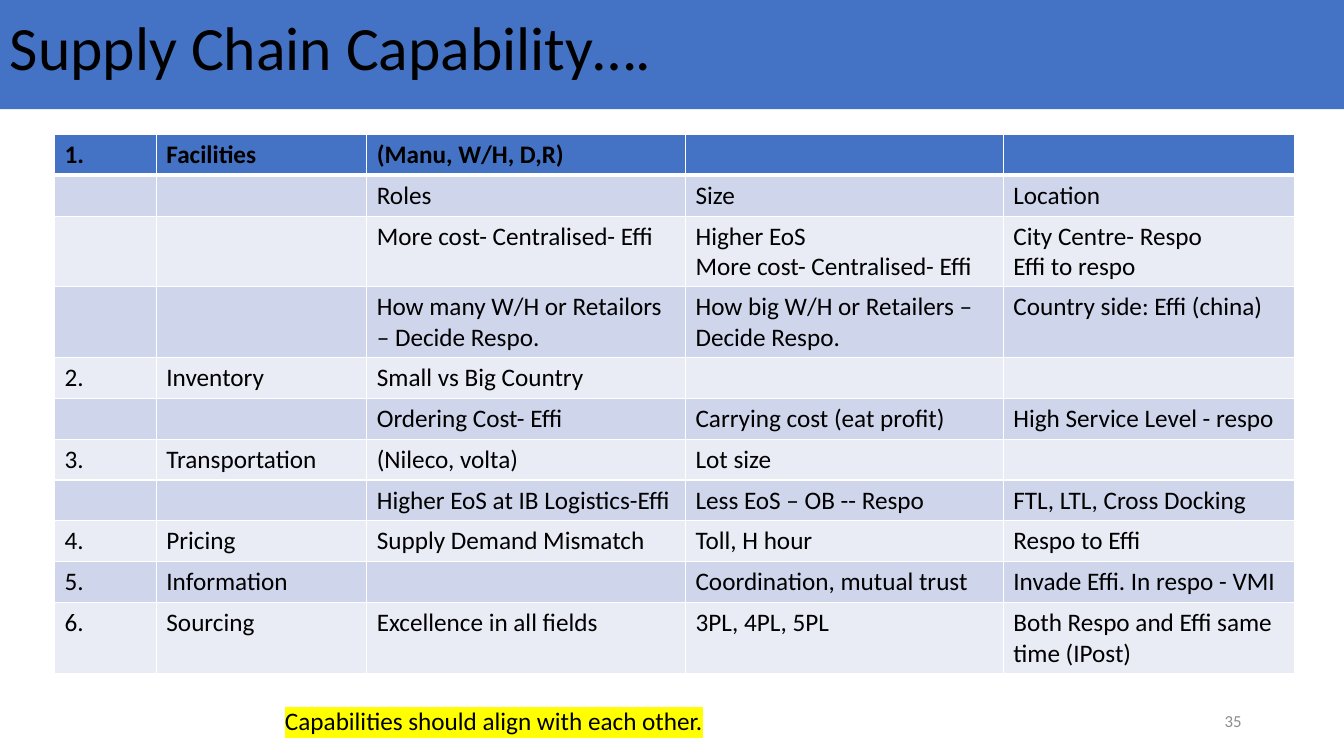
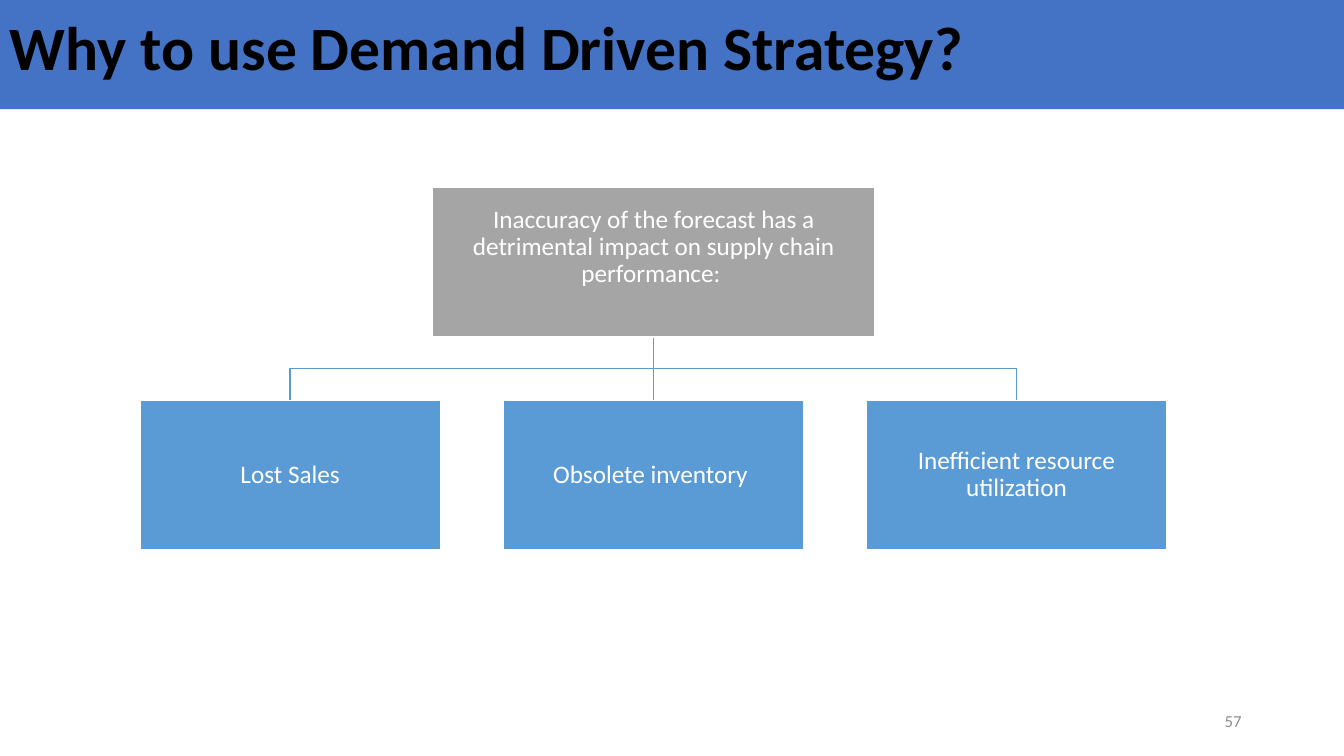
"""Build two supply chain slides: a capability table and a strategy tree."""
from dataclasses import dataclass
from typing import Optional

from lxml import etree
from pptx import Presentation
from pptx import util as u
from pptx.dml.color import RGBColor
from pptx.enum import shapes, text
from pptx.oxml import ns

FONT = "Calibri"
BLUE, SKY, GREY = "4472C4", "5B9BD5", "A5A5A5"
BLACK, WHITE, MUTED, YELLOW = "000000", "FFFFFF", "8C8C8C", "FFFF00"
BANDING = ("E9EBF5", "CFD5EA")

COLUMN_WIDTHS = (72.7, 150.3, 227.7, 227, 207.9)
ROW_HEIGHT = 29.2
CAPABILITIES = (
    ("1.", "Facilities", "(Manu, W/H, D,R)", "", ""),
    ("", "", "Roles", "Size", "Location"),
    ("", "", "More cost- Centralised- Effi",
     "Higher EoS\nMore cost- Centralised- Effi", "City Centre- Respo\nEffi to respo"),
    ("", "", "How many W/H or Retailors – Decide Respo.",
     "How big W/H or Retailers – Decide Respo.", "Country side: Effi (china)"),
    ("2.", "Inventory", "Small vs Big Country", "", ""),
    ("", "", "Ordering Cost- Effi", "Carrying cost (eat profit)", "High Service Level - respo"),
    ("3.", "Transportation", "(Nileco, volta)", "Lot size", ""),
    ("", "", "Higher EoS at IB Logistics-Effi", "Less EoS – OB -- Respo",
     "FTL, LTL, Cross Docking"),
    ("4.", "Pricing", "Supply Demand Mismatch", "Toll, H hour", "Respo to Effi"),
    ("5.", "Information", "", "Coordination, mutual trust", "Invade Effi. In respo - VMI"),
    ("6.", "Sourcing", "Excellence in all fields", "3PL, 4PL, 5PL",
     "Both Respo and Effi same time (IPost)"),
)


@dataclass(frozen=True)
class Box:
    left: float
    top: float
    width: float
    height: float

    @property
    def center(self) -> float:
        return self.left + self.width / 2

    @property
    def bottom(self) -> float:
        return self.top + self.height

    def emu(self) -> tuple:
        return tuple(u.Pt(v) for v in (self.left, self.top, self.width, self.height))


@dataclass(frozen=True)
class Node:
    label: str
    box: Box
    fill: str
    bottom_inset: float = 0.7


TITLE_BAND = Box(0, -6, 960, 84)
PAGE_NUMBER = Box(678, 500.5, 216, 28.8)
ROOT = Node("Inaccuracy of the forecast has a detrimental impact on supply chain performance: ",
            Box(309, 134, 316, 106.8), GREY, 22.5)
EFFECTS = [
    Node(label, Box(100 + 259.4 * i, 286, 214.5, 106.8), SKY)
    for i, label in enumerate(("Lost Sales", "Obsolete inventory ",
                               "Inefficient resource utilization"))
]


def color(value: str) -> RGBColor:
    return RGBColor.from_string(value)


def style(frame, size: float, ink: str, bold: bool = False, align=text.PP_ALIGN.LEFT,
          spacing: Optional[float] = None) -> None:
    for paragraph in frame.paragraphs:
        paragraph.alignment = align
        paragraph.line_spacing = spacing
        for run in paragraph.runs:
            run.font.size = u.Pt(size)
            run.font.bold = bold
            run.font.color.rgb = color(ink)
            run.font.name = FONT


def add_panel(slide, box: Box, label: str, fill: str):
    panel = slide.shapes.add_shape(shapes.MSO_SHAPE.RECTANGLE, *box.emu())
    panel.shadow.inherit = False
    panel.fill.solid()
    panel.fill.fore_color.rgb = color(fill)
    panel.line.fill.background()
    panel.text_frame.text = label
    panel.text_frame.word_wrap = True
    panel.text_frame.vertical_anchor = text.MSO_ANCHOR.MIDDLE
    return panel


def add_label(slide, box: Box, label: str):
    frame = slide.shapes.add_textbox(*box.emu()).text_frame
    frame.word_wrap = True
    frame.text = label
    return frame


def add_page(deck, title: str, number: str, bold: bool = False):
    slide = deck.slides.add_slide(deck.slide_layouts[6])
    page_number = add_label(slide, PAGE_NUMBER, number)
    page_number.vertical_anchor = text.MSO_ANCHOR.MIDDLE
    style(page_number, 12, MUTED, align=text.PP_ALIGN.RIGHT)
    band = add_panel(slide, TITLE_BAND, title, BLUE)
    style(band.text_frame, 44, BLACK, bold, spacing=0.9)
    return slide


def add_borders(cell, top: float, bottom: float) -> None:
    properties = cell._tc.get_or_add_tcPr()
    for side, width in (("L", 1), ("R", 1), ("T", top), ("B", bottom)):
        edge = etree.SubElement(properties, ns.qn(f"a:ln{side}"), w=str(u.Pt(width)))
        fill = etree.SubElement(edge, ns.qn("a:solidFill"))
        etree.SubElement(fill, ns.qn("a:srgbClr"), val=WHITE)


def add_capability_table(slide) -> None:
    area = Box(39, 96, sum(COLUMN_WIDTHS), ROW_HEIGHT * len(CAPABILITIES))
    table = slide.shapes.add_table(len(CAPABILITIES), len(COLUMN_WIDTHS), *area.emu()).table
    for column, width in zip(table.columns, COLUMN_WIDTHS):
        column.width = u.Pt(width)
    for r, entries in enumerate(CAPABILITIES):
        table.rows[r].height = u.Pt(ROW_HEIGHT)
        for c, entry in enumerate(entries):
            cell = table.cell(r, c)
            add_borders(cell, 3 if r == 1 else 1, 3 if r == 0 else 1)
            cell.fill.solid()
            cell.fill.fore_color.rgb = color(BANDING[r % 2] if r else BLUE)
            cell.text = entry
            style(cell.text_frame, 18, BLACK, bold=r == 0)


def highlight(frame, fill: str) -> None:
    for run in frame.paragraphs[0].runs:
        properties = run.font._element
        marker = etree.Element(ns.qn("a:highlight"))
        etree.SubElement(marker, ns.qn("a:srgbClr"), val=fill)
        properties.find(ns.qn("a:latin")).addprevious(marker)


def add_branch(slide, parent: Box, child: Box) -> None:
    start = (u.Pt(parent.center), u.Pt(parent.bottom))
    end = (u.Pt(child.center), u.Pt(child.top))
    if abs(parent.center - child.center) < 1:
        branch = slide.shapes.add_connector(
            shapes.MSO_CONNECTOR.STRAIGHT, *start, start[0], end[1])
        etree.SubElement(branch._element.spPr, ns.qn("a:effectLst"))
    else:
        bend = (start[1] + end[1]) // 2
        outline = slide.shapes.build_freeform(*start)
        outline.add_line_segments([(start[0], bend), (end[0], bend), end], close=False)
        branch = outline.convert_to_shape()
        branch.shadow.inherit = False
        branch.fill.background()
    branch.line.color.rgb = color(SKY)
    branch.line.width = u.Pt(1)


def add_node(slide, node: Node) -> None:
    panel = add_panel(slide, node.box, node.label, node.fill)
    panel.line.color.rgb = color(WHITE)
    panel.line.width = u.Pt(1)
    frame = panel.text_frame
    frame.margin_left = frame.margin_right = frame.margin_top = u.Pt(0.7)
    frame.margin_bottom = u.Pt(node.bottom_inset)
    style(frame, 18, WHITE, align=text.PP_ALIGN.CENTER, spacing=0.9)


def add_tree(slide, root: Node, effects: list) -> None:
    for effect in reversed(effects):
        add_branch(slide, root.box, effect.box)
    for node in (root, *effects):
        add_node(slide, node)


def main() -> None:
    deck = Presentation()
    deck.slide_width, deck.slide_height = u.Pt(960), u.Pt(540)

    capability = add_page(deck, "Supply Chain Capability….", "35")
    add_capability_table(capability)
    takeaway = add_label(capability, Box(196.5, 500.5, 352, 29),
                         "Capabilities should align with each other.")
    style(takeaway, 18, BLACK)
    highlight(takeaway, YELLOW)

    strategy = add_page(deck, "Why to use Demand Driven Strategy?", "57", bold=True)
    add_tree(strategy, ROOT, EFFECTS)

    deck.save("out.pptx")


if __name__ == "__main__":
    main()
